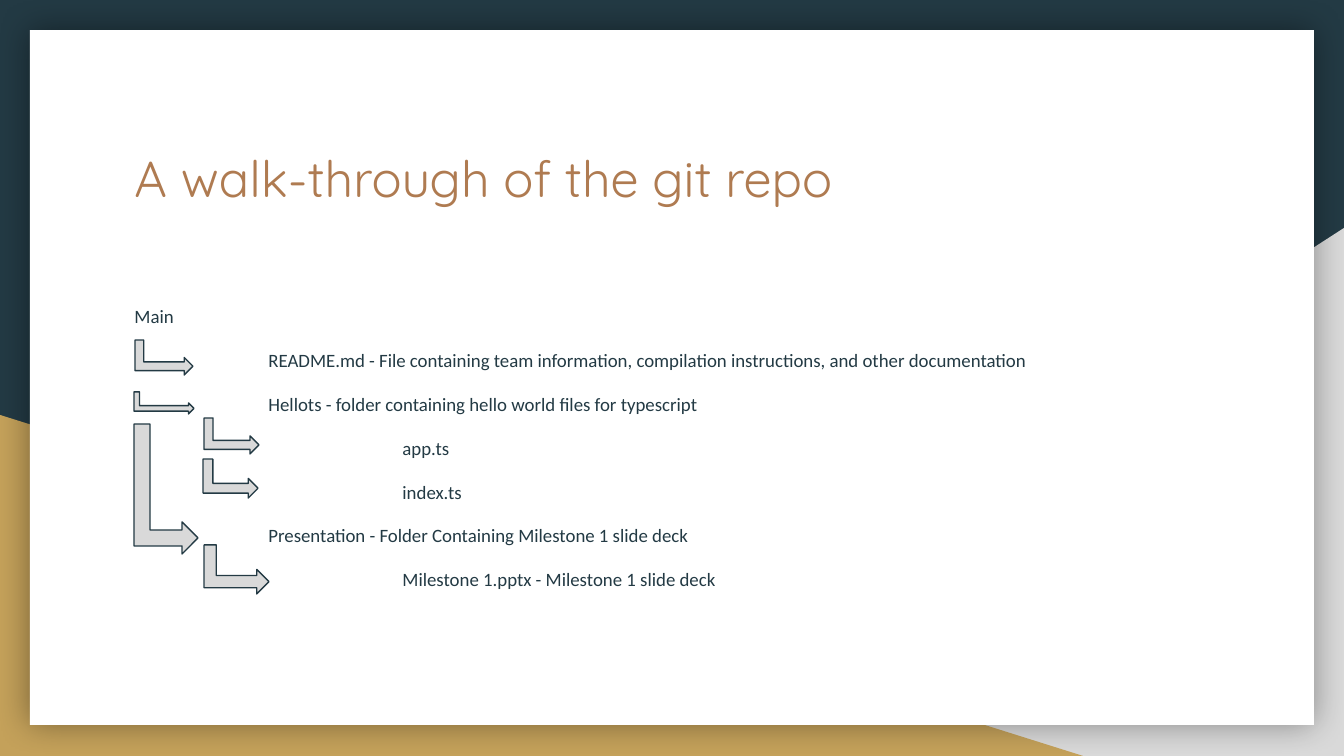
"""Build a slide that walks through the folders of a git repository."""
from pptx import Presentation
from pptx import util as u
from pptx.dml.color import RGBColor
from pptx.enum import shapes, text
from pptx.oxml import parse_xml
from pptx.oxml.ns import nsdecls, qn

EMU_PER_PX = 914400 / 134.4
COLORS = {"navy": "233A44", "grey": "D9D9D9", "gold": "C4A15A",
          "white": "FFFFFF", "copper": "AF7B51"}
KIND = shapes.MSO_SHAPE

HEADING = "A walk-through of the git repo"
REPO_TREE = [
    (0, "Main"),
    (1, "README.md - File containing team information, compilation instructions, and other documentation"),
    (1, "Hellots - folder containing hello world files for typescript"),
    (2, "app.ts"),
    (2, "index.ts"),
    (1, "Presentation - Folder Containing Milestone 1 slide deck"),
    (2, "Milestone 1.pptx - Milestone 1 slide deck"),
]
BRANCHES = [
    (135, 340, 58, 35),
    (134, 392, 60, 22),
    (204, 418, 55, 36),
    (203, 459, 55, 39),
    (134, 424, 64, 130),
    (204, 545, 65, 49),
]
HEADING_BOX = (121, 125, 1103, 140)
TREE_BOX = (121, 293, 1103, 360)
INDENT = 134


def px(length):
    return u.Emu(round(length * EMU_PER_PX))


def rgb(name):
    return RGBColor.from_string(COLORS[name])


def add_filled(kind, box, color):
    shape = slide.shapes.add_shape(kind, *map(px, box))
    shape.shadow.inherit = False
    shape.fill.solid()
    shape.fill.fore_color.rgb = rgb(color)
    shape.line.fill.background()
    return shape


def place(holder, box):
    holder.left, holder.top, holder.width, holder.height = map(px, box)
    frame = holder.text_frame
    frame.word_wrap = True
    frame.auto_size = text.MSO_AUTO_SIZE.NONE
    frame.vertical_anchor = text.MSO_ANCHOR.TOP
    frame.margin_left = frame.margin_right = u.Inches(0.1)
    frame.margin_top = frame.margin_bottom = u.Inches(0.1)
    return frame


def style(paragraph, font, size, color, spacing, before):
    paragraph.alignment = text.PP_ALIGN.LEFT
    paragraph.line_spacing = spacing
    paragraph.space_before = u.Pt(before)
    paragraph.font.name = font
    paragraph.font.size = u.Pt(size)
    paragraph.font.color.rgb = rgb(color)


deck = Presentation()
deck.slide_width, deck.slide_height = px(1344), px(756)
slide = deck.slides.add_slide(deck.slide_layouts[1])
slide.background.fill.solid()
slide.background.fill.fore_color.rgb = rgb("navy")
heading, tree = slide.placeholders

grey_corner = add_filled(KIND.RIGHT_TRIANGLE, (527, 228, 817, 528), "grey")
grey_corner.element.spPr.find(qn("a:xfrm")).set("flipH", "1")
gold_corner = add_filled(KIND.RIGHT_TRIANGLE, (0, 415, 1083, 341), "gold")
panel = add_filled(KIND.RECTANGLE, (30, 30, 1284, 695), "white")
panel.element.spPr.find(qn("a:effectLst")).append(parse_xml(
    f'<a:outerShdw {nsdecls("a")} blurRad="{u.Pt(18)}" dist="0" dir="0" algn="ctr" rotWithShape="0">'
    '<a:srgbClr val="000000"><a:alpha val="40000"/></a:srgbClr></a:outerShdw>'))
for backdrop in (grey_corner, gold_corner, panel):
    heading.element.addprevious(backdrop.element)

heading_frame = place(heading, HEADING_BOX)
heading_frame.text = HEADING
style(heading_frame.paragraphs[0], "Quicksand", 27, "copper", 1.15, 12)

tree_frame = place(tree, TREE_BOX)
tree_frame.text = "\n".join(label for _, label in REPO_TREE)
for entry, (depth, _) in zip(tree_frame.paragraphs, REPO_TREE):
    style(entry, "Calibri", 10.1, "navy", 0.95, 12 if depth else 0)
    layout = entry._p.get_or_add_pPr()
    layout.set("marL", str(px(depth * INDENT)))
    layout.set("indent", "0")
    bullet_off = parse_xml(f'<a:buNone {nsdecls("a")}/>')
    layout.find(qn("a:defRPr")).addprevious(bullet_off)

for left, top, width, height in BRANCHES:
    shift = (width - height) / 2
    branch = add_filled(KIND.BENT_UP_ARROW, (left + shift, top - shift, height, width), "grey")
    branch.rotation = 90
    branch.line.color.rgb = rgb("navy")
    branch.line.width = u.Pt(0.75)

deck.save("out.pptx")
